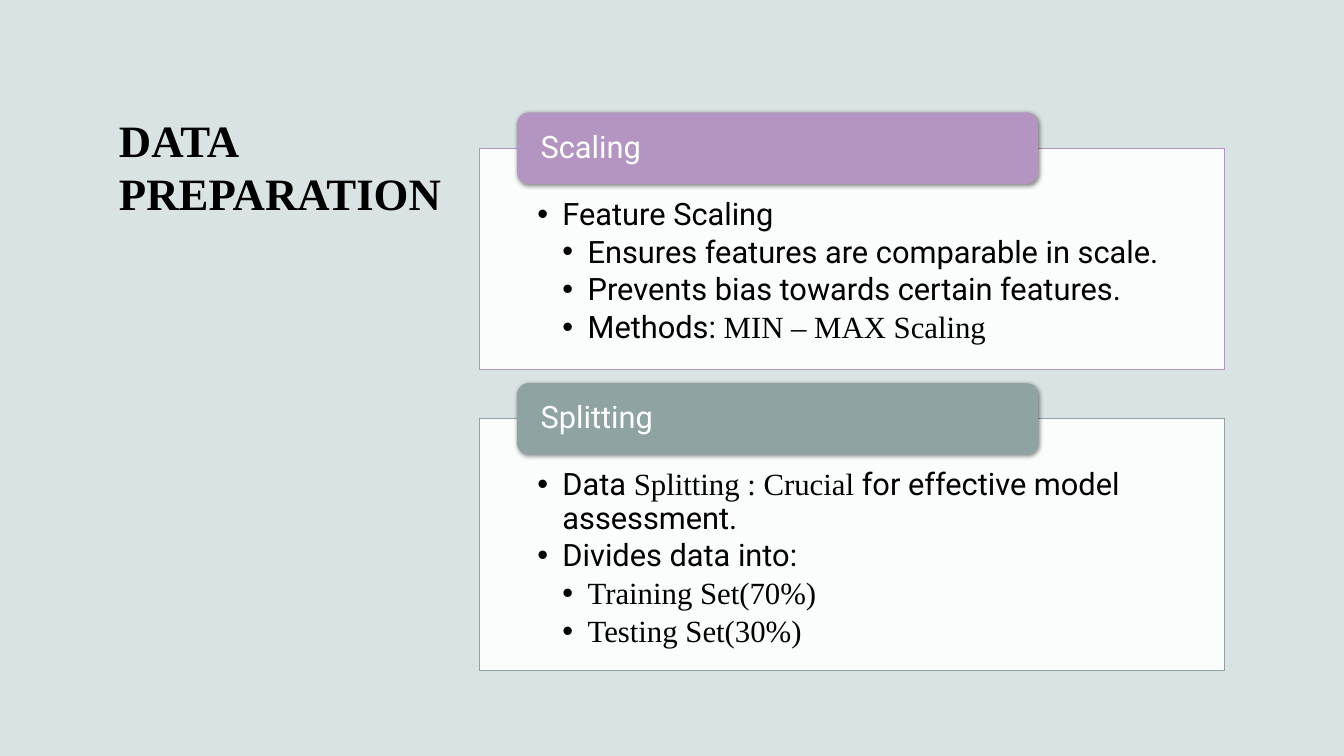
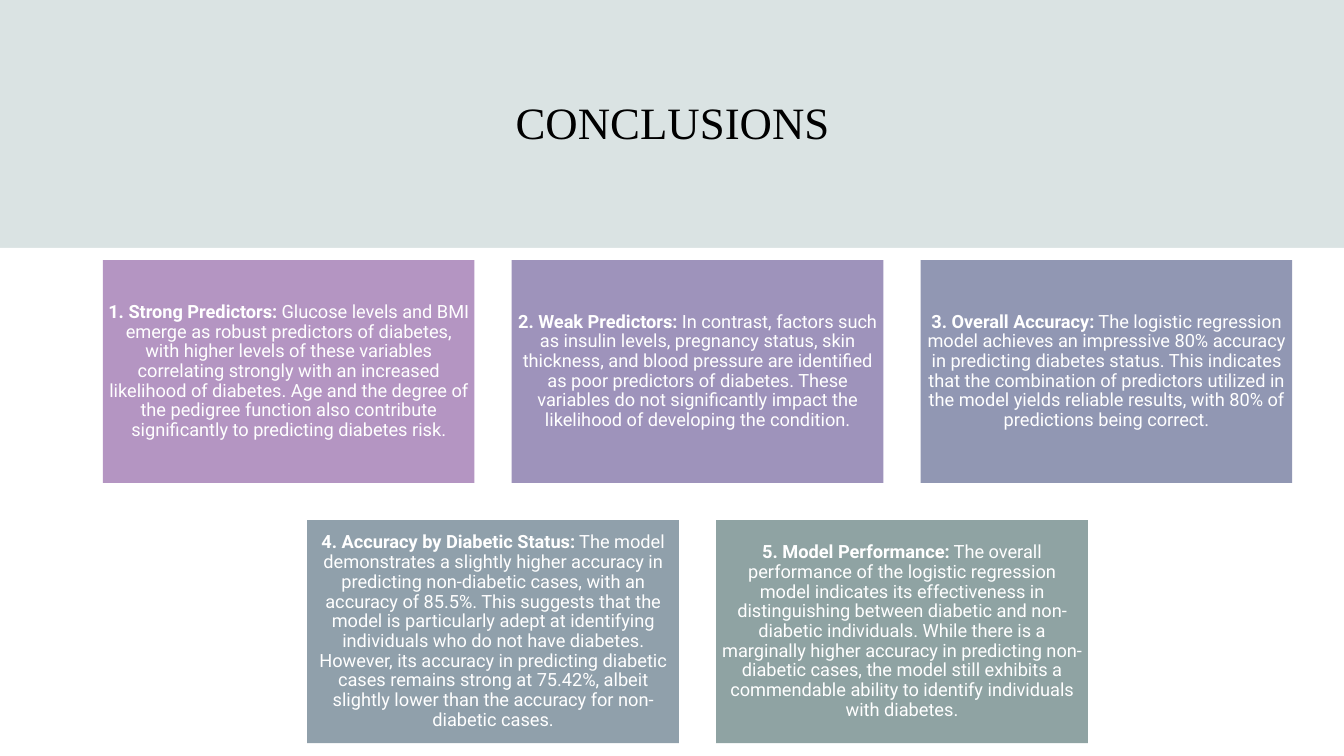
from dataclasses import dataclass

from lxml import etree
from pptx import Presentation
from pptx import util as u
from pptx.dml.color import RGBColor
from pptx.enum import shapes, text
from pptx.oxml import ns


@dataclass(frozen=True)
class Theme:
    """Colours, fonts and type sizes shared by the slides."""

    background: str = "DAE3E3"
    ink: str = "000000"
    paper: str = "FFFFFF"
    mauve: str = "B495C2"
    violet: str = "9E93BB"
    blue: str = "9197B3"
    slate: str = "90A0AB"
    sage: str = "8FA3A3"
    serif: str = "Times New Roman"
    sans: str = "Roboto"
    title_size: int = 32
    list_size: int = 22
    card_size: int = 13
    line_spacing: float = 0.9


@dataclass(frozen=True)
class Box:
    """A rectangle in inches."""

    left: float
    top: float
    width: float
    height: float

    def share(self, left, top, width, height):
        """Return a box given in percent of this one."""
        return Box(self.left + self.width * left / 100, self.top + self.height * top / 100,
                   self.width * width / 100, self.height * height / 100)

    def place(self, shape):
        """Move and size a shape to this box."""
        shape.left, shape.top = u.Inches(self.left), u.Inches(self.top)
        shape.width, shape.height = u.Inches(self.width), u.Inches(self.height)


THEME = Theme()
PAGE = Box(0, 0, 13.33, 7.5)
TITLE_ONLY, TWO_CONTENT = 5, 3

SECTIONS = [
    ("Scaling", THEME.mauve, PAGE.share(35.7, 19.6, 55.4, 29.3), [
        (0, [("Feature Scaling", THEME.sans)]),
        (1, [("Ensures features are comparable in scale.", THEME.sans)]),
        (1, [("Prevents bias towards certain features.", THEME.sans)]),
        (1, [("Methods:", THEME.sans), (" MIN – MAX Scaling", THEME.serif)]),
    ]),
    ("Splitting", THEME.sage, PAGE.share(35.7, 55.4, 55.4, 33.3), [
        (0, [("Data ", THEME.sans), ("Splitting : Crucial", THEME.serif),
             (" for effective model assessment.", THEME.sans)]),
        (0, [("Divides data into:", THEME.sans)]),
        (1, [("Training Set(70%)", THEME.serif)]),
        (1, [("Testing Set(30%)", THEME.serif)]),
    ]),
]

CARD_ROWS = [
    [
        (THEME.mauve, "1. Strong Predictors:",
         " Glucose levels and BMI emerge as robust predictors of diabetes, with higher levels of "
         "these variables correlating strongly with an increased likelihood of diabetes. Age and "
         "the degree of the pedigree function also contribute significantly to predicting "
         "diabetes risk."),
        (THEME.violet, "2. Weak Predictors:",
         " In contrast, factors such as insulin levels, pregnancy status, skin thickness, and "
         "blood pressure are identified as poor predictors of diabetes. These variables do not "
         "significantly impact the likelihood of developing the condition."),
        (THEME.blue, "3. Overall Accuracy:",
         " The logistic regression model achieves an impressive 80% accuracy in predicting "
         "diabetes status. This indicates that the combination of predictors utilized in the "
         "model yields reliable results, with 80% of predictions being correct."),
    ],
    [
        (THEME.slate, "4. Accuracy by Diabetic Status:",
         " The model demonstrates a slightly higher accuracy in predicting non-diabetic cases, "
         "with an accuracy of 85.5%. This suggests that the model is particularly adept at "
         "identifying individuals who do not have diabetes. However, its accuracy in predicting "
         "diabetic cases remains strong at 75.42%, albeit slightly lower than the accuracy for "
         "non-diabetic cases."),
        (THEME.sage, "5. Model Performance:",
         " The overall performance of the logistic regression model indicates its effectiveness "
         "in distinguishing between diabetic and non-diabetic individuals. While there is a "
         "marginally higher accuracy in predicting non-diabetic cases, the model still exhibits "
         "a commendable ability to identify individuals with diabetes."),
    ],
]


def add_child(parent, tag, **attributes):
    """Append a drawing element with the given attributes."""
    child = etree.SubElement(parent, ns.qn(tag))
    for name, value in attributes.items():
        child.set(name, str(value))
    return child


def add_run(paragraph, words, font, size, colour, bold=False):
    """Add one formatted run to a paragraph."""
    run = paragraph.add_run()
    run.text = words
    run.font.name, run.font.size, run.font.bold = font, u.Pt(size), bold
    run.font.color.rgb = RGBColor.from_string(colour)


def paint(shape, colour):
    """Fill a shape with a plain colour."""
    shape.fill.solid()
    shape.fill.fore_color.rgb = RGBColor.from_string(colour)


def set_frame(shape, anchor, margins):
    """Set anchor, wrapping and left, top, right and bottom margins."""
    frame = shape.text_frame
    frame.word_wrap, frame.auto_size = True, text.MSO_AUTO_SIZE.NONE
    frame.vertical_anchor = anchor
    (frame.margin_left, frame.margin_top,
     frame.margin_right, frame.margin_bottom) = map(u.Inches, margins)
    return frame


def add_block(slide, kind, box, colour):
    """Add a plain filled shape without outline or shadow."""
    shape = slide.shapes.add_shape(kind, 0, 0, 0, 0)
    box.place(shape)
    paint(shape, colour)
    shape.line.fill.background()
    shape.shadow.inherit = False
    return shape


def set_title(slide, box, words, alignment, anchor, bold=False):
    """Place and fill the title placeholder."""
    title = slide.shapes.title
    box.place(title)
    paragraph = set_frame(title, anchor, (0.1, 0.05, 0.1, 0.05)).paragraphs[0]
    paragraph.alignment = alignment
    add_run(paragraph, words, THEME.serif, THEME.title_size, THEME.ink, bold)


def format_bullet(paragraph, level):
    """Give a list paragraph its level, indent, spacing and bullet."""
    paragraph.level = level
    paragraph.line_spacing = THEME.line_spacing
    paragraph.space_before, paragraph.space_after = u.Pt(0), u.Pt(3.3)
    properties = paragraph._p.get_or_add_pPr()
    properties.set("marL", str(u.Inches(0.25 * (level + 1))))
    properties.set("indent", str(u.Inches(-0.25)))
    add_child(properties, "a:buFont", typeface="Arial")
    add_child(properties, "a:buChar", char="•")


def fill_panel(panel, box, colour, items):
    """Turn a body placeholder into an outlined, translucent list panel."""
    box.place(panel)
    paint(panel, THEME.paper)
    paper = panel._element.spPr.find(ns.qn("a:solidFill"))[0]
    add_child(paper, "a:alpha", val=90000)
    panel.line.color.rgb = RGBColor.from_string(colour)
    panel.line.width = u.Pt(0.75)
    frame = set_frame(panel, text.MSO_ANCHOR.TOP, (0.57, 0.5, 0.57, 0.17))
    for index, (level, runs) in enumerate(items):
        paragraph = frame.add_paragraph() if index else frame.paragraphs[0]
        format_bullet(paragraph, level)
        for words, font in runs:
            add_run(paragraph, words, font, THEME.list_size, THEME.ink)


def add_tab(slide, panel_box, colour, words):
    """Add the rounded heading centred on a panel's top edge."""
    height = 0.71
    box = Box(panel_box.left + panel_box.width * 0.05, panel_box.top - height / 2,
              panel_box.width * 0.7, height)
    tab = add_block(slide, shapes.MSO_SHAPE.ROUNDED_RECTANGLE, box, colour)
    effects = tab._element.spPr.find(ns.qn("a:effectLst"))
    shadow = add_child(effects, "a:outerShdw", blurRad=u.Pt(3.5), dist=u.Pt(1.1),
                       dir=5400000, algn="ctr", rotWithShape=0)
    add_child(add_child(shadow, "a:srgbClr", val=THEME.ink), "a:alpha", val=45000)
    paragraph = set_frame(tab, text.MSO_ANCHOR.MIDDLE, (0.2, 0, 0.2, 0)).paragraphs[0]
    paragraph.alignment = text.PP_ALIGN.LEFT
    paragraph.line_spacing = THEME.line_spacing
    add_run(paragraph, words, THEME.sans, THEME.list_size, THEME.paper)


def add_card(slide, box, colour, heading, body):
    """Add a coloured card with a bold lead-in."""
    card = add_block(slide, shapes.MSO_SHAPE.RECTANGLE, box, colour)
    paragraph = set_frame(card, text.MSO_ANCHOR.MIDDLE, (0.05,) * 4).paragraphs[0]
    paragraph.alignment = text.PP_ALIGN.CENTER
    paragraph.line_spacing = THEME.line_spacing
    add_run(paragraph, heading, THEME.sans, THEME.card_size, THEME.paper, True)
    add_run(paragraph, body, THEME.sans, THEME.card_size, THEME.paper)


def add_card_grid(slide, box, rows):
    """Lay out rows of equal cards, each row centred in the box."""
    width = box.width / 3.2
    gap = width / 10
    height = (box.height - gap) / len(rows)
    for row, cards in enumerate(rows):
        row_width = len(cards) * (width + gap) - gap
        left = box.left + (box.width - row_width) / 2
        top = box.top + row * (height + gap)
        for column, card in enumerate(cards):
            add_card(slide, Box(left + column * (width + gap), top, width, height), *card)


def build_preparation(presentation):
    """Build the slide with two headed list panels."""
    slide = presentation.slides.add_slide(presentation.slide_layouts[TWO_CONTENT])
    set_title(slide, PAGE.share(8.1, 14.2, 29, 26.5), "DATA PREPARATION",
              text.PP_ALIGN.LEFT, text.MSO_ANCHOR.TOP, True)
    panels = list(slide.placeholders)[1:]
    for panel, (heading, colour, box, items) in zip(panels, SECTIONS):
        fill_panel(panel, box, colour, items)
        add_tab(slide, box, colour, heading)


def build_conclusions(presentation):
    """Build the slide with a white band of conclusion cards."""
    slide = presentation.slides.add_slide(presentation.slide_layouts[TITLE_ONLY])
    set_title(slide, PAGE.share(8.9, 7.9, 82.3, 16.4), "CONCLUSIONS",
              text.PP_ALIGN.CENTER, text.MSO_ANCHOR.MIDDLE)
    add_block(slide, shapes.MSO_SHAPE.RECTANGLE, PAGE.share(0, 32.8, 100, 67.2), THEME.paper)
    add_card_grid(slide, PAGE.share(7.65, 34.4, 88.5, 63.9), CARD_ROWS)


def main():
    """Build and save the presentation."""
    presentation = Presentation()
    presentation.slide_width = u.Inches(PAGE.width)
    presentation.slide_height = u.Inches(PAGE.height)
    paint(presentation.slide_master.background, THEME.background)
    build_preparation(presentation)
    build_conclusions(presentation)
    presentation.save("out.pptx")


if __name__ == "__main__":
    main()
